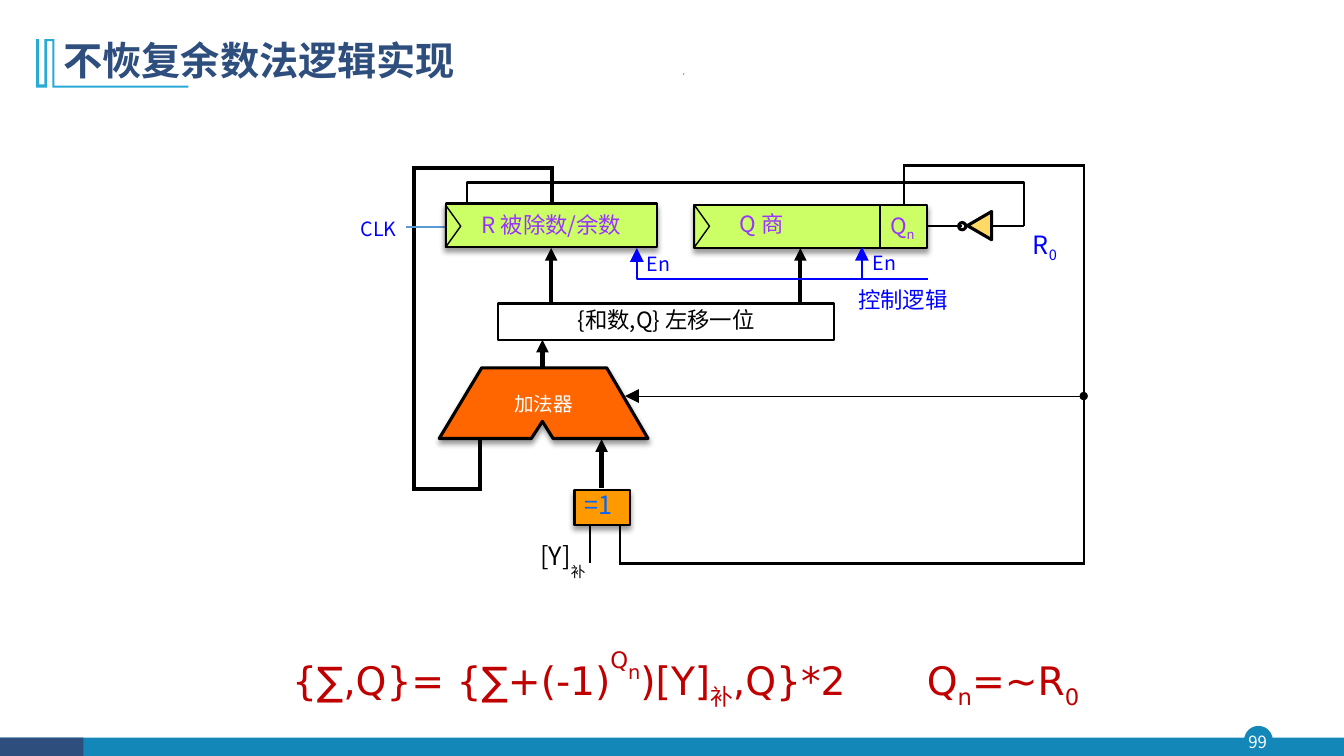
from dataclasses import dataclass
from itertools import pairwise

from lxml import etree
from pptx import Presentation
from pptx import util as u
from pptx.dml.color import RGBColor
from pptx.enum import shapes, text
from pptx.oxml import ns


@dataclass(frozen=True)
class Theme:
    font: str = "Noto Sans CJK SC"
    formula_font: str = "DejaVu Sans"
    navy: str = "2E4E7E"
    teal: str = "1387B7"
    sky: str = "28A9D6"
    clock: str = "5B9BD5"
    signal: str = "0000FF"
    register: str = "CCFF66"
    register_text: str = "9933FF"
    adder: str = "FF6600"
    xor: str = "FF9900"
    xor_text: str = "0066FF"
    inverter: str = "FFD966"
    formula: str = "C00000"
    black: str = "000000"
    white: str = "FFFFFF"
    title_size: int = 28
    exponent_size: int = 24
    large: int = 18
    medium: int = 16
    small: int = 14
    tiny: int = 12


THEME = Theme()
SHAPE = shapes.MSO_SHAPE
LEFT, CENTER = text.PP_ALIGN.LEFT, text.PP_ALIGN.CENTER
TOP, MIDDLE = text.MSO_ANCHOR.TOP, text.MSO_ANCHOR.MIDDLE


def cm(values):
    return [u.Cm(value) for value in values]


def sub(parent, tag, **attributes):
    return etree.SubElement(parent, ns.qn(tag), attributes)


def write(shape, runs, color, size, align=CENTER, anchor=MIDDLE, inset=(0, 0, 0, 0),
          wrap=True, spacing=1.0, font=THEME.font, bold=False, tab=None):
    """Fill a shape with one paragraph; a run is a string or (string, baseline %, size)."""
    frame = shape.text_frame
    frame.word_wrap = wrap
    frame.vertical_anchor = anchor
    (frame.margin_left, frame.margin_top,
     frame.margin_right, frame.margin_bottom) = cm(inset)
    paragraph = frame.paragraphs[0]
    paragraph.alignment = align
    paragraph.line_spacing = spacing
    paragraph.space_before = u.Pt(0)
    if tab:
        stops = sub(paragraph._p.get_or_add_pPr(), "a:tabLst")
        sub(stops, "a:tab", pos=str(u.Cm(tab)), algn="l")
    for item in runs:
        content, baseline, run_size = (item, 0, size) if isinstance(item, str) else item
        run = paragraph.add_run()
        run.text = content
        run.font.size = u.Pt(run_size)
        run.font.bold = bold
        run.font.name = font
        run.font.color.rgb = RGBColor.from_string(color)
        properties = run._r.get_or_add_rPr()
        if baseline:
            properties.set("baseline", str(baseline * 1000))
        sub(properties, "a:ea", typeface=THEME.font)


def label(slide, box, runs, color, size, **options):
    shape = slide.shapes.add_textbox(*cm(box))
    write(shape, runs, color, size, **options)


def paint(shape, fill=None, width=None, line=THEME.black, shadow=False):
    shape.shadow.inherit = False
    if fill:
        shape.fill.solid()
        shape.fill.fore_color.rgb = RGBColor.from_string(fill)
    else:
        shape.fill.background()
    if width:
        shape.line.width = u.Pt(width)
        shape.line.color.rgb = RGBColor.from_string(line)
    else:
        shape.line.fill.background()
    if shadow:
        effects = shape._element.spPr.find(ns.qn("a:effectLst"))
        outer = sub(effects, "a:outerShdw", blurRad=str(u.Pt(4)), dist=str(u.Pt(3)),
                    dir="5400000", rotWithShape="0")
        sub(sub(outer, "a:srgbClr", val=THEME.black), "a:alpha", val="40000")
    return shape


def block(slide, kind, box, rotation=0, **style):
    shape = slide.shapes.add_shape(kind, *cm(box))
    shape.rotation = rotation
    return paint(shape, **style)


def outline(slide, points, closed=True, **style):
    corners = [tuple(cm(point)) for point in points]
    builder = slide.shapes.build_freeform(*corners[0])
    builder.add_line_segments(corners[1:], close=closed)
    return paint(builder.convert_to_shape(), **style)


def add_ends(shape, head=None, tail=None):
    """Put ends on a line; triangles on thin lines are drawn large."""
    line = shape.line._get_or_add_ln()
    for tag, kind in (("a:headEnd", head), ("a:tailEnd", tail)):
        if kind:
            large = kind == "triangle" and shape.line.width < u.Pt(3)
            size = "lg" if large else "med"
            sub(line, tag, type=kind, w=size, len=size)


def wire(slide, *points, width=1.5, color=THEME.black, head=None, tail=None):
    """Join the points with straight connectors."""
    for start, end in pairwise(points):
        connector = slide.shapes.add_connector(
            shapes.MSO_CONNECTOR.STRAIGHT, *cm(start), *cm(end))
        connector.line.width = u.Pt(width)
        connector.line.color.rgb = RGBColor.from_string(color)
        sub(connector._element.spPr, "a:effectLst")
        if not (head or tail):
            connector.line._get_or_add_ln().set("cap", "sq")
        add_ends(connector, head, tail)


def add_frame(slide):
    """Title with its bracket, footer bar and page number."""
    block(slide, SHAPE.OVAL, (31.37, 18.31, 0.69, 0.69), fill=THEME.teal,
          width=1, line=THEME.teal)
    block(slide, SHAPE.RECTANGLE, (0, 18.59, 33.87, 0.46), fill=THEME.teal)
    block(slide, SHAPE.RECTANGLE, (0, 18.59, 2.1, 0.46), fill=THEME.navy)
    label(slide, (31.29, 18.31, 0.81, 0.79), ["99"], THEME.white, THEME.tiny)
    outline(slide, [(1.37, 0.99), (1.37, 2.16), (4.75, 2.16), (4.75, 2.21), (1.32, 2.21),
                    (1.32, 1.04), (1.19, 1.04), (1.19, 2.21), (0.91, 2.21), (0.91, 0.99),
                    (0.99, 0.99), (0.99, 2.13), (1.12, 2.13), (1.12, 0.99)], fill=THEME.sky)
    title = slide.shapes.title
    title.left, title.top, title.width, title.height = cm((1.35, 0.71, 29.21, 1.73))
    write(title, ["不恢复余数法逻辑实现"], THEME.navy, THEME.title_size, align=LEFT,
          inset=(0.25, 0.13, 0.25, 0.13), spacing=0.9, bold=True)
    wire(slide, (17.22, 1.88), (17.24, 1.85), width=0.5, color=THEME.clock)


def add_wires(slide):
    wire(slide, (27.31, 9.98), (15.75, 9.98), width=0.75, head="oval", tail="triangle")
    wire(slide, (22.78, 5.23), (22.78, 4.17), (27.31, 4.17), (27.31, 14.2),
         (15.62, 14.2), (15.62, 13.28))
    wire(slide, (13.92, 5.16), (13.92, 4.24), (10.44, 4.24), (10.44, 12.32),
         (12.09, 12.32), (12.09, 11.1), width=3)
    for x, bottom, top in ((13.89, 7.65, 6.25), (20.17, 7.65, 6.25),
                           (13.67, 9.25, 8.56), (15.16, 12.29, 11.07)):
        wire(slide, (x, bottom), (x, top), width=3, tail="triangle")
    wire(slide, (14.86, 13.21), (14.86, 14.15))
    wire(slide, (11.23, 5.72), (10.26, 5.72), color=THEME.clock)


def add_registers(slide):
    for box, runs, align, inset in (
            ((11.23, 5.13, 5.33, 1.09), ["R 被除数/余数"], CENTER, (0, 0.1, 0, 0)),
            ((17.5, 5.16, 5.87, 1.09), ["Q 商"], LEFT, (1.14, 0, 0, 0))):
        register = block(slide, SHAPE.RECTANGLE, box, fill=THEME.register,
                         width=1.5, shadow=True)
        write(register, runs, THEME.register_text, THEME.medium, align=align,
              inset=inset, spacing=0.8)
        block(slide, SHAPE.ISOSCELES_TRIANGLE, (box[0] - 0.34, 5.51, 1.06, 0.38),
              rotation=90, width=1)
    label(slide, (22.12, 5.41, 1.24, 0.76), ["Q", ("n", -25, THEME.medium)],
          THEME.register_text, THEME.medium, anchor=TOP, spacing=0.8)
    wire(slide, (22.17, 5.16), (22.17, 6.25))


def add_arithmetic(slide):
    shifter = block(slide, SHAPE.RECTANGLE, (12.55, 7.65, 8.48, 0.91),
                    fill=THEME.white, width=1.5)
    write(shifter, ["{和数,Q} 左移一位"], THEME.black, THEME.medium, anchor=TOP,
          inset=(0, 0.2, 0, 0), spacing=0.8)
    adder = outline(slide, [(11.07, 11.05), (12.14, 9.27), (15.29, 9.27), (16.33, 11.05),
                            (13.94, 11.05), (13.67, 10.62), (13.39, 11.05)],
                    fill=THEME.adder, width=2.25, shadow=True)
    write(adder, ["加法器"], THEME.white, THEME.small)
    xor = block(slide, SHAPE.RECTANGLE, (14.48, 12.34, 1.4, 0.89), fill=THEME.xor,
                width=1.5, shadow=True)
    write(xor, ["=1"], THEME.xor_text, THEME.large, align=LEFT,
          inset=(0.25, 0, 0, 0), spacing=0.8)
    label(slide, (13.62, 13.61, 2.5, 1.04), ["[Y]", ("补", -50, THEME.large)],
          THEME.black, THEME.large, align=LEFT, anchor=TOP, spacing=0.8)


def add_control(slide):
    enable = outline(slide, [(16.05, 6.25), (16.05, 7.04), (23.39, 7.04)], closed=False,
                     width=1.5, line=THEME.signal)
    add_ends(enable, head="triangle")
    wire(slide, (21.72, 7.04), (21.72, 6.22), color=THEME.signal, tail="triangle")
    label(slide, (21.08, 7.34, 3.35, 1.09), ["控制逻辑"], THEME.signal, THEME.medium,
          anchor=TOP, spacing=0.8)
    zero = ("0", -25, THEME.large)
    for box, runs, size in (((8.84, 5.33, 1.42, 0.86), ["CLK"], THEME.small),
                            ((21.74, 6.2, 1.12, 0.86), ["En"], THEME.small),
                            ((16.05, 6.22, 1.12, 0.86), ["En"], THEME.small),
                            ((25.78, 5.64, 1.17, 1.02), ["R", zero], THEME.large)):
        label(slide, box, runs, THEME.signal, size, align=LEFT, anchor=TOP, wrap=False,
              inset=(0.25, 0.13, 0.25, 0.13))


def add_inverter(slide):
    wire(slide, (25.78, 5.69), (24.99, 5.69))
    wire(slide, (24.21, 5.69), (23.39, 5.69))
    block(slide, SHAPE.OVAL, (24.16, 5.61, 0.18, 0.18), width=2.25)
    block(slide, SHAPE.ISOSCELES_TRIANGLE, (24.33, 5.38, 0.71, 0.61), rotation=270,
          fill=THEME.inverter, width=2.25)
    outline(slide, [(11.76, 5.08), (11.76, 4.6), (25.81, 4.6), (25.81, 5.69)],
            closed=False, width=1.5)


def add_formula(slide):
    size = THEME.title_size
    runs = ["{∑,Q}= {∑+(-1)", ("Q", 70, size), ("n", 50, THEME.exponent_size), ")[Y]",
            ("补", -25, size), ",Q}*2\tQ", ("n", -25, size), "=~R", ("0", -25, size)]
    label(slide, (7.11, 15.82, 22.17, 1.7), runs, THEME.formula, size, align=LEFT,
          anchor=TOP, inset=(0.25, 0.13, 0.25, 0.13), spacing=1.2,
          font=THEME.formula_font, tab=16)


def main():
    presentation = Presentation()
    presentation.slide_width, presentation.slide_height = cm((33.87, 19.05))
    slide = presentation.slides.add_slide(presentation.slide_layouts[5])
    add_frame(slide)
    add_wires(slide)
    add_registers(slide)
    add_arithmetic(slide)
    add_control(slide)
    add_inverter(slide)
    add_formula(slide)
    presentation.save("out.pptx")


if __name__ == "__main__":
    main()
